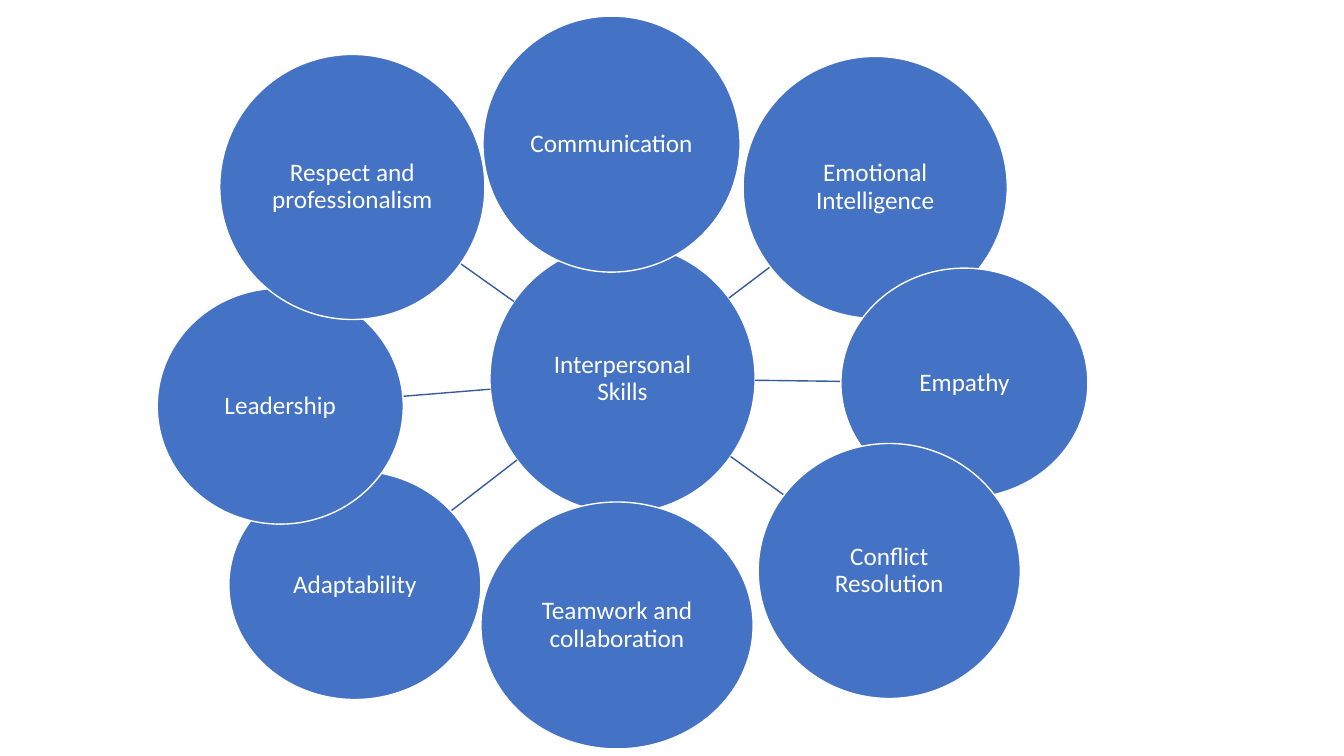
import math
from dataclasses import dataclass

import pptx
import pptx.dml.color
import pptx.enum.shapes
import pptx.enum.text
import pptx.oxml
import pptx.util
from pptx.util import Inches


@dataclass
class Theme:
    circle: str = "4472C4"
    outline: str = "FFFFFF"
    text: str = "FFFFFF"
    spoke: str = "365B9D"
    font: str = "Calibri"
    text_size: int = 18
    line_width: int = 1


theme = Theme()
rgb = pptx.dml.color.RGBColor.from_string


def write_text(shape, text, size=theme.text_size, color=theme.text, inset=0.01):
    frame = shape.text_frame
    frame.word_wrap = True
    frame.vertical_anchor = pptx.enum.text.MSO_ANCHOR.MIDDLE
    frame.margin_left = frame.margin_right = Inches(inset)
    frame.margin_top = frame.margin_bottom = Inches(inset)
    paragraph = frame.paragraphs[0]
    paragraph.alignment = pptx.enum.text.PP_ALIGN.CENTER
    paragraph.line_spacing = 0.9
    run = paragraph.add_run()
    run.text = text
    run.font.name = theme.font
    run.font.size = pptx.util.Pt(size)
    run.font.color.rgb = rgb(color)


def edge_point(ellipse, dx, dy):
    """Point where a ray from the ellipse's centre along (dx, dy) leaves it."""
    left, top, width, height = ellipse
    reach = 1 / math.hypot(dx / (width / 2), dy / (height / 2))
    return left + width / 2 + dx * reach, top + height / 2 + dy * reach


deck = pptx.Presentation()
deck.slide_width, deck.slide_height = Inches(13.33), Inches(7.5)
slide = deck.slides.add_slide(deck.slide_layouts[6])

# Hub first, then the skills clockwise from the top: left, top, width, height
hub = (4.86, 2.42, 2.63, 2.67)
circles = [
    ("Interpersonal Skills", hub),
    ("Communication", (4.79, 0.16, 2.55, 2.54)),
    ("Emotional Intelligence", (7.37, 0.56, 2.62, 2.6)),
    ("Empathy", (8.34, 2.66, 2.45, 2.28)),
    ("Conflict Resolution", (7.52, 4.4, 2.6, 2.53)),
    ("Teamwork and collaboration", (4.77, 4.98, 2.7, 2.45)),
    ("Adaptability", (2.27, 4.67, 2.5, 2.27)),
    ("Leadership", (1.56, 2.86, 2.44, 2.34)),
    ("Respect and professionalism", (2.18, 0.54, 2.63, 2.63)),
]

for label, ellipse in circles:
    left, top, width, height = ellipse

    # Spoke between the facing edges of the hub and the skill
    if ellipse != hub:
        dx = left + width / 2 - hub[0] - hub[2] / 2
        dy = top + height / 2 - hub[1] - hub[3] / 2
        ends = edge_point(hub, dx, dy) + edge_point(ellipse, -dx, -dy)
        spoke = slide.shapes.add_connector(
            pptx.enum.shapes.MSO_CONNECTOR.STRAIGHT, *map(Inches, ends))
        spoke.line.color.rgb = rgb(theme.spoke)
        spoke.line.width = pptx.util.Pt(theme.line_width)
        spoke._element.spPr.append(pptx.oxml.parse_xml(
            '<a:effectLst xmlns:a="http://schemas.openxmlformats.org/drawingml/2006/main"/>'))

    # Circle with its label
    circle = slide.shapes.add_shape(
        pptx.enum.shapes.MSO_SHAPE.OVAL, *map(Inches, ellipse))
    circle.shadow.inherit = False
    circle.fill.solid()
    circle.fill.fore_color.rgb = rgb(theme.circle)
    circle.line.color.rgb = rgb(theme.outline)
    circle.line.width = pptx.util.Pt(theme.line_width)
    write_text(circle, label)

deck.save("out.pptx")
